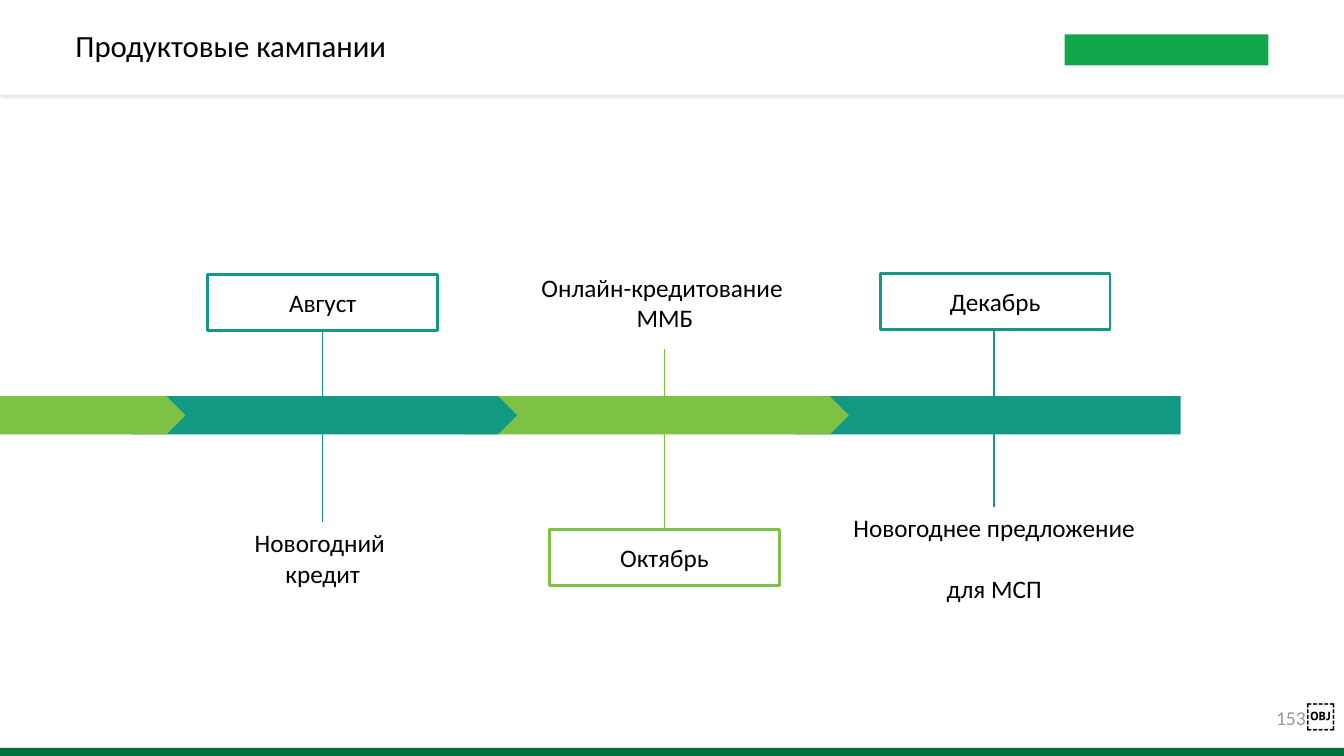
from lxml import etree
from pptx import Presentation
from pptx.dml.color import RGBColor
from pptx.enum.shapes import MSO_CONNECTOR, MSO_SHAPE
from pptx.enum.text import MSO_ANCHOR, PP_ALIGN
from pptx.oxml import parse_xml
from pptx.oxml.ns import nsdecls, qn
from pptx.util import Emu, Pt

EMU_PER_PX = 9144  # 100 px to the inch
BLANK_LAYOUT = 6

RECT, PENTAGON = MSO_SHAPE.RECTANGLE, MSO_SHAPE.PENTAGON
STRAIGHT = MSO_CONNECTOR.STRAIGHT
MIDDLE = MSO_ANCHOR.MIDDLE
LEFT, CENTER = PP_ALIGN.LEFT, PP_ALIGN.CENTER

WHITE = RGBColor(0xFF, 0xFF, 0xFF)
BLACK = RGBColor(0x00, 0x00, 0x00)
GRAY = RGBColor(0x99, 0x99, 0x99)
TEAL = RGBColor(0x13, 0x98, 0x84)
LIME = RGBColor(0x7D, 0xC2, 0x44)
DARK_GREEN = RGBColor(0x00, 0x6F, 0x3C)
LOGO_GREEN = RGBColor(0x11, 0xA7, 0x4C)

MONTH_SIZE = (228, 56)
BAND_TOP, BAND_HEIGHT = 393, 38

# left, width, colour, point depth; from the rearmost to the front one
BAND_SECTIONS = [
    (788, 383, TEAL, 0),
    (459, 383, LIME, 0.5),
    (130, 383, TEAL, 0.5),
    (-183, 367, LIME, 0.5),
]

# month, its left and top, campaign, its box, paragraph gap, colour,
# stem x, top and bottom
CAMPAIGNS = [
    ("Август", 206, 272, "Новогодний \vкредит", (169, 518, 302, 71), 0,
     TEAL, (320, 327, 518)),
    ("Октябрь", 545, 525, "Онлайн-кредитование \vММБ", (520, 254, 279, 92), 0,
     LIME, (659, 346, 525)),
    ("Декабрь", 873, 271, "Новогоднее предложение\nдля МСП",
     (834, 503, 304, 101), 22, TEAL, (986, 327, 503)),
]


def px(*lengths):
    return [Emu(length * EMU_PER_PX) for length in lengths]


class SlideBuilder:
    font = "Calibri"

    def __init__(self, presentation):
        layout = presentation.slide_layouts[BLANK_LAYOUT]
        self.slide = presentation.slides.add_slide(layout)

    def style_run(self, run, size, color, font=None):
        run.font.name = font or self.font
        run.font.size = Pt(size)
        run.font.color.rgb = color

    def fill_text(self, frame, text, size=18, align=CENTER, gap=0, spacing=None):
        """Fill a text frame; gap is the space in points between paragraphs."""
        frame.word_wrap = True
        frame.vertical_anchor = MIDDLE
        frame.text = text
        for index, paragraph in enumerate(frame.paragraphs):
            paragraph.alignment = align
            if spacing:
                paragraph.line_spacing = spacing
            if index and gap:
                paragraph.space_before = Pt(gap)
            for run in paragraph.runs:
                self.style_run(run, size, BLACK)

    def block(self, box, color, kind=RECT):
        shape = self.slide.shapes.add_shape(kind, *px(*box))
        shape.shadow.inherit = False
        shape.fill.solid()
        shape.fill.fore_color.rgb = color
        shape.line.fill.background()
        return shape

    def header(self, box):
        """White strip with a soft shadow below it."""
        effects = self.block(box, WHITE)._element.spPr.find(qn("a:effectLst"))
        effects.append(parse_xml(
            f'<a:outerShdw {nsdecls("a")} blurRad="12700" dist="25400" '
            'dir="5400000" algn="t" rotWithShape="0"><a:srgbClr val="8A8A8A">'
            '<a:alpha val="20000"/></a:srgbClr></a:outerShdw>'))

    def band_section(self, left, width, color, depth):
        box = (left, BAND_TOP, width, BAND_HEIGHT)
        self.block(box, color, PENTAGON).adjustments[0] = depth

    def month(self, name, left, top, color):
        shape = self.block((left, top, *MONTH_SIZE), WHITE)
        shape.fill.background()
        shape.line.color.rgb = color
        shape.line.width = Pt(2)
        self.fill_text(shape.text_frame, name)

    def label(self, box, text, **style):
        frame = self.slide.shapes.add_textbox(*px(*box)).text_frame
        self.fill_text(frame, text, **style)

    def stem(self, x, top, bottom, color):
        line = self.slide.shapes.add_connector(STRAIGHT, *px(x, top, x, bottom))
        line.line.color.rgb = color
        line.line.width = Pt(1)
        etree.SubElement(line._element.spPr, qn("a:effectLst"))

    def page_number(self, box, number, mark):
        frame = self.slide.shapes.add_textbox(*px(*box)).text_frame
        frame.margin_left = frame.margin_right = 0
        frame.margin_top = frame.margin_bottom = 0
        self.fill_text(frame, number)
        number_run = frame.paragraphs[0].runs[0]
        self.style_run(number_run, 14, GRAY)
        mark_run = frame.paragraphs[0].add_run()
        mark_run.text = mark
        self.style_run(mark_run, 21, BLACK, "Cabin")


def main():
    presentation = Presentation()
    presentation.slide_width, presentation.slide_height = px(1333, 750)
    builder = SlideBuilder(presentation)

    builder.block((0, 742, 1333, 14), DARK_GREEN)
    builder.page_number((1257, 691, 76, 35), "153", "￼")
    builder.header((0, 0, 1333, 94))
    builder.block((1056, 34, 202, 31), LOGO_GREEN)
    builder.label((65, 0, 984, 94), "Продуктовые кампании",
                  size=22, align=LEFT, spacing=0.9)

    for section in BAND_SECTIONS:
        builder.band_section(*section)
    for month, left, top, campaign, box, gap, color, stem in CAMPAIGNS:
        builder.month(month, left, top, color)
        builder.label(box, campaign, gap=gap)
        builder.stem(*stem, color)

    presentation.save("out.pptx")


if __name__ == "__main__":
    main()
